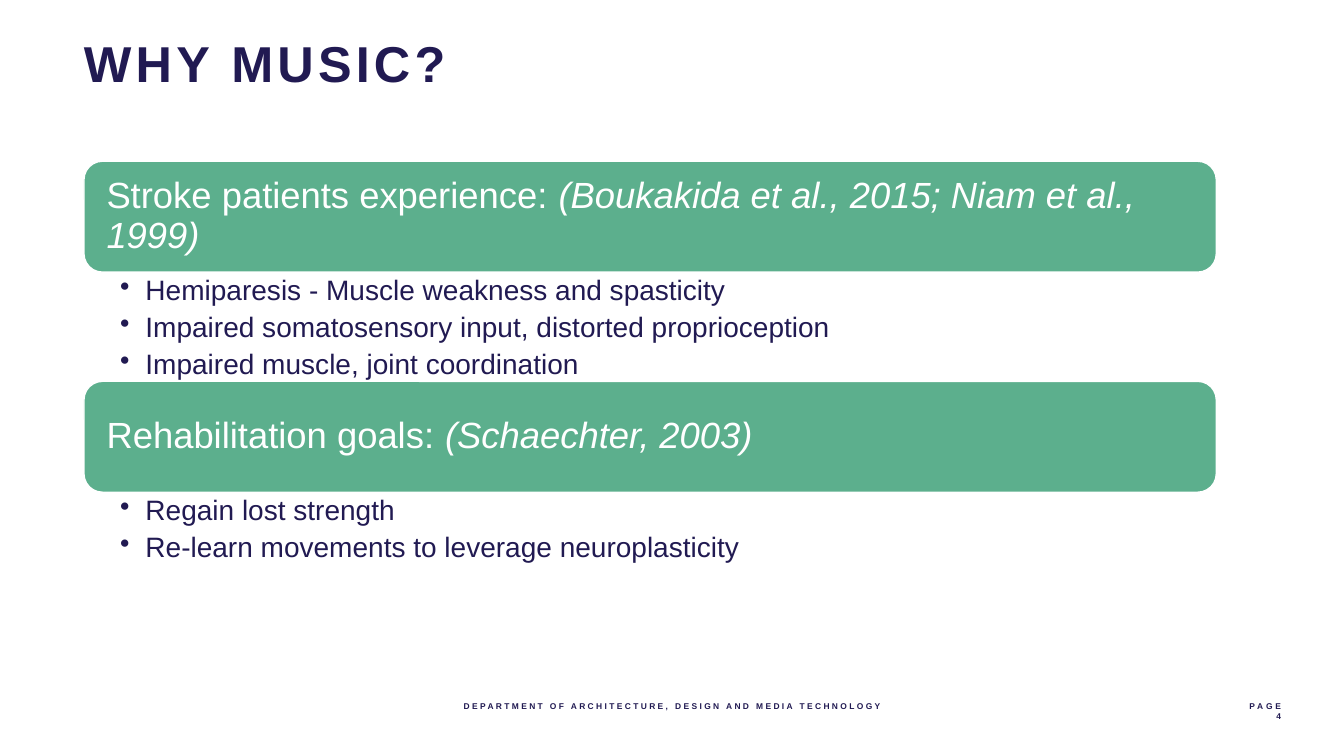
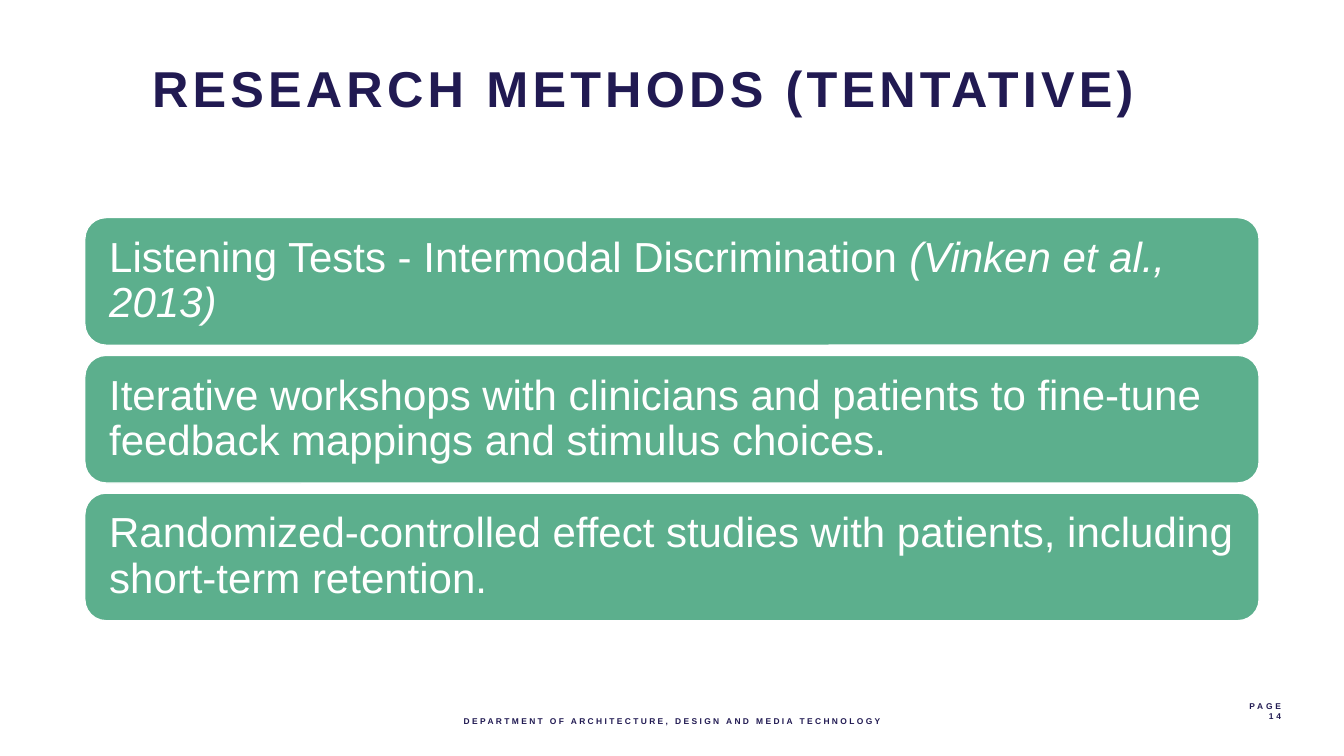
import pptx
import pptx.dml.color
import pptx.enum.shapes
import pptx.enum.text
import pptx.oxml
import pptx.oxml.ns
import pptx.util
from pptx.util import Inches

# Shared style
NAVY = pptx.dml.color.RGBColor(0x21, 0x1A, 0x52)
GREEN = pptx.dml.color.RGBColor(0x5C, 0xAF, 0x8D)
WHITE = pptx.dml.color.RGBColor(0xFF, 0xFF, 0xFF)
FACE = "Arial"
ALIGN = pptx.enum.text.PP_ALIGN
ANCHOR = pptx.enum.text.MSO_ANCHOR
COLS, ROWS = 160, 90
DEPT = "DEPARTMENT OF ARCHITECTURE, DESIGN AND MEDIA TECHNOLOGY"


def write(frame, text, size=20, color=NAVY, bold=False, track=0,
          align=ALIGN.LEFT, anchor=ANCHOR.TOP, inset=(0, 0, 0, 0),
          lead=None, after=None, bullet=False):
    """Fill a frame; each item is a paragraph, as (plain, italic) or a string."""
    frame.word_wrap = True
    frame.auto_size = pptx.enum.text.MSO_AUTO_SIZE.NONE
    frame.vertical_anchor = anchor
    (frame.margin_left, frame.margin_top,
     frame.margin_right, frame.margin_bottom) = map(Inches, inset)
    for i, item in enumerate(text):
        para = frame.add_paragraph() if i else frame.paragraphs[0]
        if bullet:
            props = para._p.get_or_add_pPr()
            props.set("marL", str(Inches(0.25)))
            props.set("indent", str(-Inches(0.25)))
            mark = pptx.oxml.parse_xml(
                f'<a:buChar {pptx.oxml.ns.nsdecls("a")} char="•"/>')
            props.append(mark)
        para.alignment = align
        if lead:
            para.line_spacing = lead
        if after:
            para.space_after = pptx.util.Pt(after)
        parts = (item,) if isinstance(item, str) else item
        for j, words in enumerate(parts):
            run = para.add_run()
            run.text = words
            font = run.font
            font.name, font.size = FACE, pptx.util.Pt(size)
            font.bold, font.italic = bold, j == 1
            font.color.rgb = color
            if track:
                run._r.get_or_add_rPr().set("spc", str(round(track * 100)))


class Deck:
    """Holds the presentation, its grid and the current slide."""

    def __init__(self):
        self.show = pptx.Presentation()
        self.show.slide_width = Inches(13.33)
        self.show.slide_height = Inches(7.5)
        self.slide = None

    def place(self, col, row, wide, high):
        across = self.show.slide_width / COLS
        down = self.show.slide_height / ROWS
        return (round(col * across), round(row * down),
                round(wide * across), round(high * down))

    def start(self, title, cell, page, foot, align=ALIGN.LEFT):
        self.slide = self.show.slides.add_slide(self.show.slide_layouts[5])
        head = self.slide.shapes.title
        head.left, head.top, head.width, head.height = self.place(*cell)
        write(head.text_frame, [title], size=36, bold=True, track=3,
              align=align, inset=(0, 0, 0.1, 0.05))
        self.text((133.9, 83.5, 18.6, 3.7), ["PAGE", str(page)], size=6,
                  bold=True, track=2, align=ALIGN.RIGHT)
        self.text((0, foot, COLS, 3.7), [DEPT], size=6, bold=True,
                  track=1.7, align=ALIGN.CENTER, inset=(0, 0, 0, 0.05))

    def text(self, cell, text, **style):
        box = self.slide.shapes.add_textbox(*self.place(*cell))
        write(box.text_frame, text, **style)

    def band(self, cell, text, size, pad):
        kind = pptx.enum.shapes.MSO_SHAPE.ROUNDED_RECTANGLE
        shape = self.slide.shapes.add_shape(kind, *self.place(*cell))
        shape.shadow.inherit = False
        shape.fill.solid()
        shape.fill.fore_color.rgb = GREEN
        shape.line.color.rgb = WHITE
        shape.line.width = pptx.util.Pt(1)
        write(shape.text_frame, [text], size=size, color=WHITE,
              anchor=ANCHOR.MIDDLE, inset=(pad,) * 4, lead=0.9)

    def list(self, cell, items):
        self.text(cell, items, inset=(0.36, 0.04, 0.2, 0.04),
                  lead=0.9, after=5, bullet=True)


def main():
    deck = Deck()

    # Why music: bands, each followed by its bullets
    deck.start("WHY MUSIC?", (10, 3.8, 143, 9.8), page=4, foot=83.5)
    topics = [
        (("Stroke patients experience: ",
          "(Boukakida et al., 2015; Niam et al., 1999)"), 13,
         ["Hemiparesis - Muscle weakness and spasticity",
          "Impaired somatosensory input, distorted proprioception",
          "Impaired muscle, joint coordination"]),
        (("Rehabilitation goals: ", "(Schaechter, 2003)"), 8.6,
         ["Regain lost strength",
          "Re-learn movements to leverage neuroplasticity"]),
    ]
    row, wide, high = 19.2, 134.8, 13.2
    for name, depth, items in topics:
        deck.band((10, row, wide, high), name, size=26, pad=0.17)
        deck.list((10, row + high, wide, depth), items)
        row += high + depth

    # Research methods: evenly stacked bands
    deck.start("RESEARCH METHODS (TENTATIVE)", (10.1, 6.8, 134.2, 18.4),
               page=14, foot=85.3, align=ALIGN.CENTER)
    steps = [
        ("Listening Tests - Intermodal Discrimination ",
         "(Vinken et al., 2013)"),
        "Iterative workshops with clinicians and patients to fine-tune "
        "feedback mappings and stimulus choices.",
        "Randomized-controlled effect studies with patients, including "
        "short-term retention.",
    ]
    for i, step in enumerate(steps):
        deck.band((10.1, 25.9 + 16.4 * i, 139.8, 15.2), step,
                  size=30, pad=0.18)

    deck.show.save("out.pptx")


if __name__ == "__main__":
    main()
